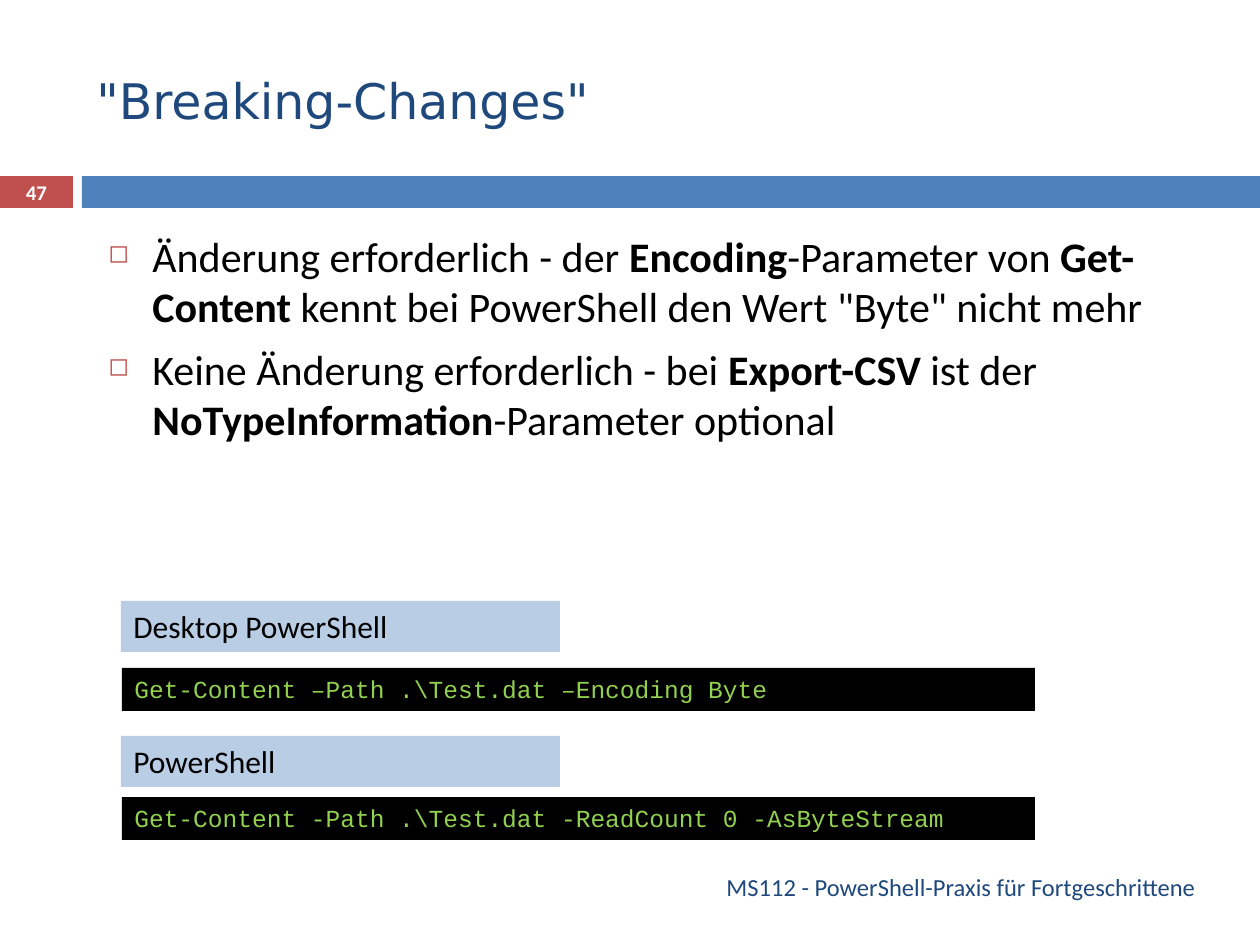
"""Build the "Breaking-Changes" slide with bullets and labelled command lines."""
import pptx
import pptx.dml.color
import pptx.enum.shapes
import pptx.enum.text
import pptx.util
from lxml import etree

PX = 914400 / 126
ALIGN = pptx.enum.text.PP_ALIGN
ANCHOR = pptx.enum.text.MSO_ANCHOR
NS = "http://schemas.openxmlformats.org/drawingml/2006/main"


def rgb(value):
    return pptx.dml.color.RGBColor.from_string(value)


def add_box(box, fill=None, runs=(), color="000000", anchor=ANCHOR.TOP, align=ALIGN.LEFT, **fmt):
    pos = [round(v * PX) for v in box]
    if fill:
        sp = s.shapes.add_shape(pptx.enum.shapes.MSO_SHAPE.RECTANGLE, *pos)
        sp.shadow.inherit = False
        sp.fill.solid()
        sp.fill.fore_color.rgb = rgb(fill)
        sp.line.fill.background()
    else:
        sp = s.shapes.add_textbox(*pos)
    tf = sp.text_frame
    tf.word_wrap = True
    tf.vertical_anchor = anchor
    for i, texts in enumerate(runs):
        p = tf.add_paragraph() if i else tf.paragraphs[0]
        p.alignment = align
        for j, text in enumerate(texts):
            r = p.add_run()
            r.text = text
            r.font.color.rgb = rgb(color)
            for key, value in {"bold": j % 2 == 1, **fmt}.items():
                setattr(r.font, key, value)
    return tf


prs = pptx.Presentation()
prs.slide_width = pptx.util.Inches(10)
prs.slide_height = pptx.util.Inches(7.5)
s = prs.slides.add_slide(prs.slide_layouts[6])
pt = pptx.util.Pt

add_box((0, 176, 73, 32), "C0504D")
add_box((82, 176, 1178, 32), "4F81BD")
add_box((84, 32, 1124, 136), runs=[['"Breaking-Changes"']], color="1F497D",
        anchor=ANCHOR.MIDDLE, name="DejaVu Sans", size=pt(28))

bullets = [
    ["Änderung erforderlich - der ", "Encoding", "-Parameter von ", "Get-Content",
     ' kennt bei PowerShell den Wert "Byte" nicht mehr'],
    ["Keine Änderung erforderlich - bei ", "Export-CSV ", "ist der ",
     "NoTypeInformation", "-Parameter optional"],
]
tf = add_box((96, 224, 1090, 292), runs=bullets, name="Calibri", size=pt(24))
for p in tf.paragraphs:
    p.space_before = pt(7)
    pPr = p._p.get_or_add_pPr()
    indent = round(44 * PX)
    pPr.set("marL", str(indent))
    pPr.set("indent", str(-indent))
    clr = etree.SubElement(pPr, f"{{{NS}}}buClr")
    etree.SubElement(clr, f"{{{NS}}}srgbClr", val="C0504D")
    etree.SubElement(pPr, f"{{{NS}}}buSzPct", val="60000")
    etree.SubElement(pPr, f"{{{NS}}}buChar", char="◻")

examples = [
    (601, "Desktop PowerShell", 668, "Get-Content –Path .\\Test.dat –Encoding Byte"),
    (736, "PowerShell", 797, "Get-Content -Path .\\Test.dat -ReadCount 0 -AsByteStream"),
]
for label_top, label, code_top, code in examples:
    add_box((121, label_top, 439, 51), "B9CDE5", [[label]], name="Calibri", size=pt(18))
    add_box((122, code_top, 913, 43), "000000", [[code]], "92D050",
            name="Courier New", size=pt(14))

add_box((84, 861, 1124, 51), runs=[["MS112 - PowerShell-Praxis für Fortgeschrittene"]],
        color="1F497D", anchor=ANCHOR.MIDDLE, align=ALIGN.RIGHT, name="Calibri", size=pt(14))
add_box((0, 175, 73, 34), runs=[["47"]], color="FFFFFF", anchor=ANCHOR.MIDDLE,
        align=ALIGN.CENTER, name="Calibri", size=pt(11.9), bold=True)

prs.save("out.pptx")
